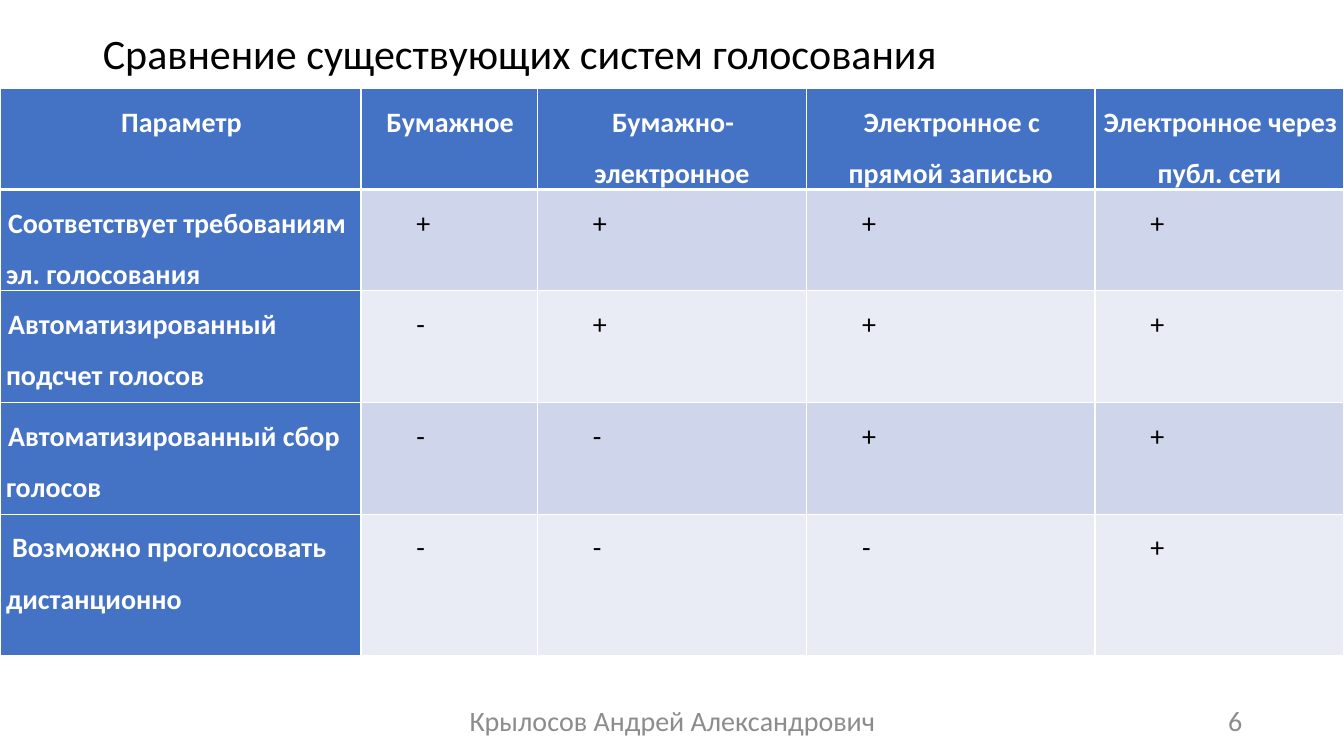
from lxml.etree import SubElement
from pptx import Presentation
from pptx.dml.color import RGBColor
from pptx.enum.text import MSO_ANCHOR as Anchor, MSO_AUTO_SIZE as AutoSize, PP_ALIGN as Align
from pptx.oxml.ns import qn
from pptx.util import Inches, Pt

FONT = "Calibri"
WHITE, BLACK, GRAY, BLUE = "FFFFFF", "000000", "8C8C8C", "4472C4"
BANDS = ["CFD5EA", "E9EBF5"]

COLUMN_WIDTHS = [3.58, 1.75, 2.67, 2.86, 2.47]
ROW_HEIGHTS = [0.94, 0.96, 1.11, 1.11, 1.4]
SYSTEMS = ["Параметр", "Бумажное", "Бумажно-электронное",
           "Электронное с прямой записью", "Электронное через публ. сети"]
CRITERIA = [
    ("Соответствует требованиям эл. голосования", "++++"),
    ("Автоматизированный подсчет голосов", "-+++"),
    ("Автоматизированный сбор голосов", "--++"),
    ("Возможно проголосовать дистанционно", "---+"),
]


def color(value):
    return RGBColor.from_string(value)


def write(frame, text, size=20, fill=BLACK, bold=False, align=Align.LEFT,
          spacing=1.0, indent=0):
    frame.word_wrap = True
    para = frame.paragraphs[0]
    para.alignment = align
    para.line_spacing = spacing
    if indent:
        properties = para._p.get_or_add_pPr()
        properties.set("marL", "0")
        properties.set("indent", str(Inches(indent)))
    span = para.add_run()
    span.text = text
    span.font.name = FONT
    span.font.size = Pt(size)
    span.font.bold = bold
    span.font.color.rgb = color(fill)


def add_title(page, text):
    title = page.shapes.title
    title.left, title.top = Inches(0.92), Inches(0.02)
    title.width, title.height = Inches(11.5), Inches(1.06)
    frame = title.text_frame
    frame.auto_size = AutoSize.NONE
    frame.vertical_anchor = Anchor.MIDDLE
    write(frame, text, size=30, spacing=0.9)


def add_footer(page, text, left, width, align):
    box = page.shapes.add_textbox(Inches(left), Inches(6.95), Inches(width), Inches(0.4))
    box.text_frame.vertical_anchor = Anchor.MIDDLE
    write(box.text_frame, text, fill=GRAY, align=align)


def set_borders(cell, bottom):
    properties = cell._tc.get_or_add_tcPr()
    for side, width in [("L", 1), ("R", 1), ("T", 1), ("B", bottom)]:
        line = SubElement(properties, qn(f"a:ln{side}"), w=str(Pt(width)))
        solid = SubElement(line, qn("a:solidFill"))
        SubElement(solid, qn("a:srgbClr"), val=WHITE)


def fill_cell(cell, text, background, bottom=1, **text_format):
    cell.margin_left = cell.margin_right = Inches(0.06)
    cell.margin_top = cell.margin_bottom = 0
    set_borders(cell, bottom)
    cell.fill.solid()
    cell.fill.fore_color.rgb = color(background)
    write(cell.text_frame, text, spacing=1.5, **text_format)


def add_comparison(page):
    frame = page.shapes.add_table(len(ROW_HEIGHTS), len(COLUMN_WIDTHS), 0, Inches(0.88),
                                  Inches(sum(COLUMN_WIDTHS)), Inches(sum(ROW_HEIGHTS)))
    table = frame.table
    for column, width in zip(table.columns, COLUMN_WIDTHS):
        column.width = Inches(width)
    for row, height in zip(table.rows, ROW_HEIGHTS):
        row.height = Inches(height)

    heading = {"fill": WHITE, "bold": True, "indent": 0.02}
    for column, system in enumerate(SYSTEMS):
        fill_cell(table.cell(0, column), system, BLUE, bottom=3,
                  align=Align.CENTER, **heading)
    for row, (criterion, marks) in enumerate(CRITERIA, start=1):
        if row == len(CRITERIA):
            heading["indent"] = 0.06
        fill_cell(table.cell(row, 0), criterion, BLUE, **heading)
        for column, mark in enumerate(marks, start=1):
            fill_cell(table.cell(row, column), mark, BANDS[(row - 1) % 2], indent=0.49)


def main():
    deck = Presentation()
    deck.slide_width, deck.slide_height = Inches(13.33), Inches(7.5)
    page = deck.slides.add_slide(deck.slide_layouts[5])
    add_title(page, "Сравнение существующих систем голосования")
    add_footer(page, "Крылосов Андрей Александрович", 4.42, 4.5, Align.CENTER)
    add_footer(page, "6", 9.42, 3, Align.RIGHT)
    add_comparison(page)
    deck.save("out.pptx")


if __name__ == "__main__":
    main()
